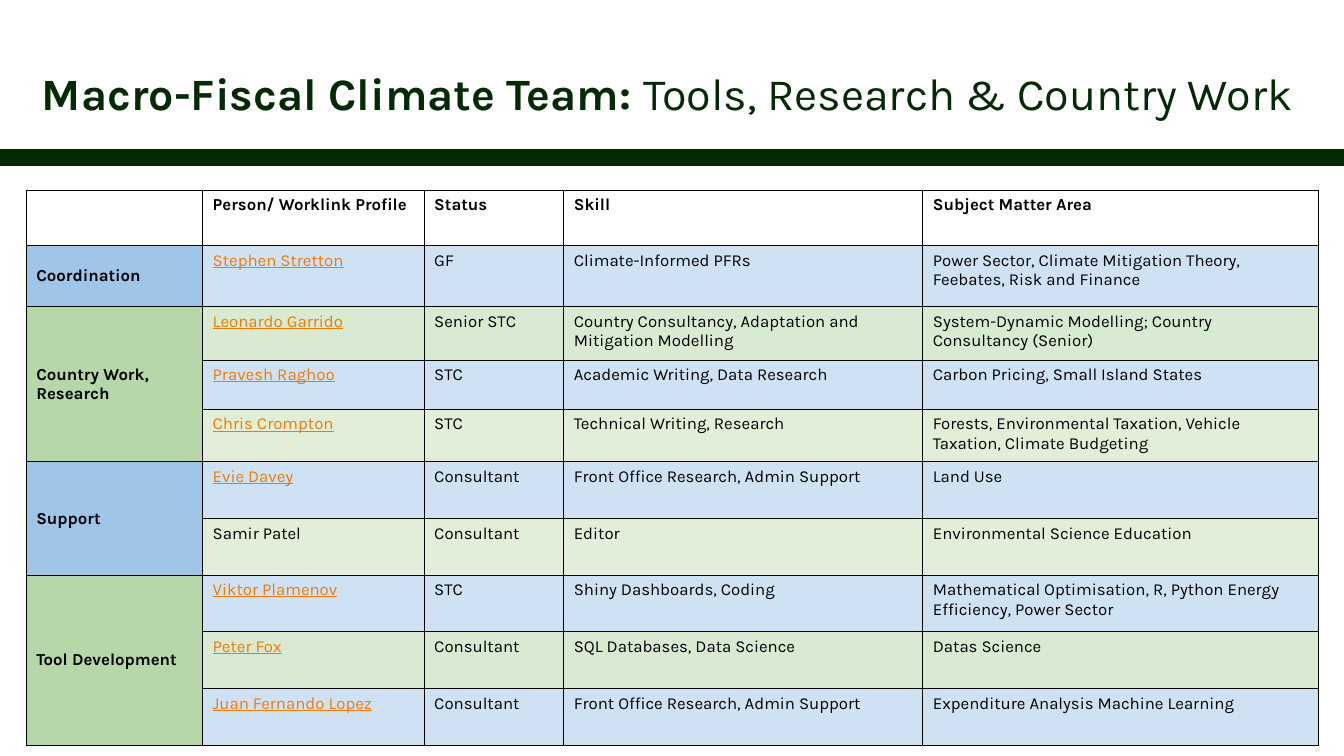
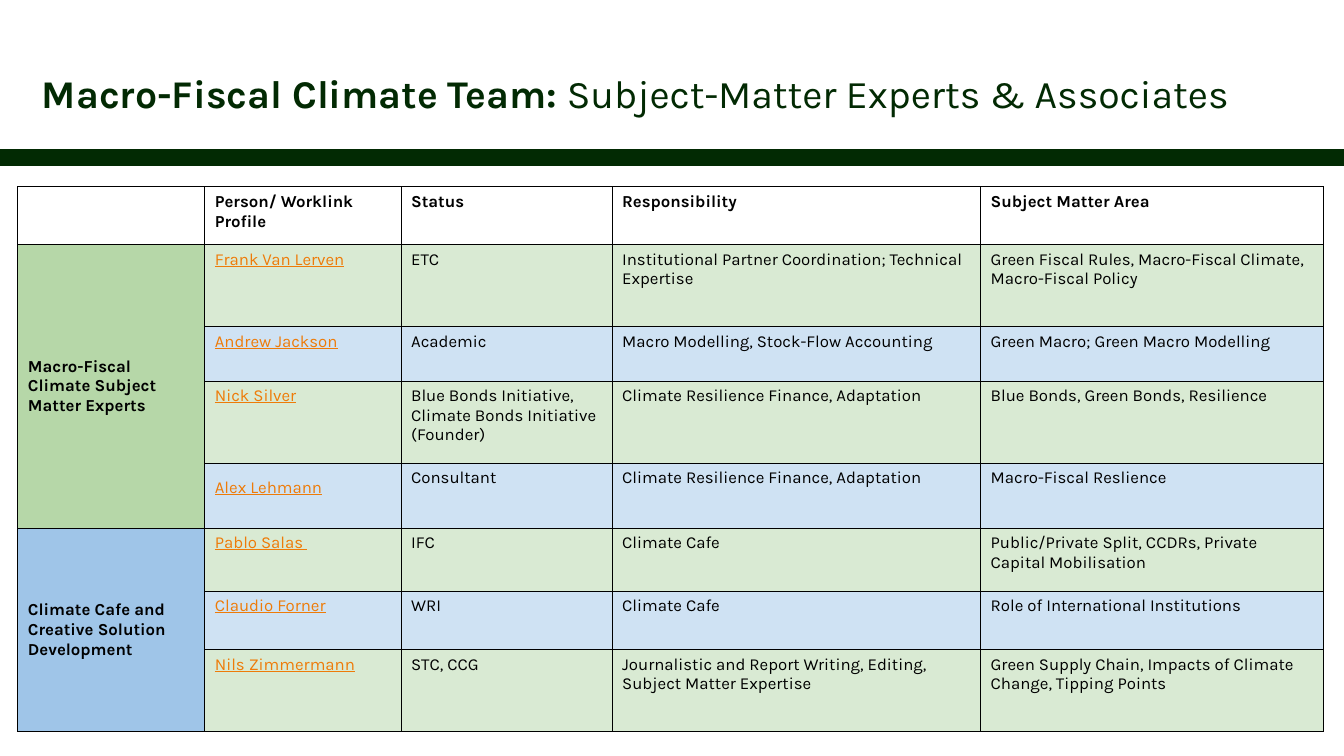
import dataclasses

import lxml.etree
import pptx
import pptx.dml.color
import pptx.enum.shapes
import pptx.enum.text
import pptx.oxml.ns
import pptx.util

EMU_PER_PX = 9525
SLIDE_WIDTH, SLIDE_HEIGHT = 1280, 720
TITLE_BOX = (40, 47, 1200, 83)
BAND_BOX = (0, 142, SLIDE_WIDTH, 16)
TITLE_ONLY_LAYOUT = 5


@dataclasses.dataclass(frozen=True)
class Theme:
    """Fonts, sizes and colours shared by the slides."""

    font: str = "Karla"
    body_size: int = 12
    title_size: int = 32
    long_title_size: int = 28
    border_width: float = 0.75
    title: str = "022A03"
    text: str = "000000"
    link: str = "EE7B08"
    blue: str = "9FC5E8"
    green: str = "B6D7A8"
    light_blue: str = "CFE2F3"
    light_green: str = "D9EAD3"
    pale_green: str = "E1EFD8"


THEME = Theme()


@dataclasses.dataclass(frozen=True)
class Member:
    """One person's row in a team table."""

    name: str
    status: str
    skill: str
    subject: str
    fill: str
    linked: bool = True
    name_spacing: float = 1.0


@dataclasses.dataclass(frozen=True)
class Group:
    """A labelled block of members."""

    label: str
    fill: str
    members: tuple


@dataclasses.dataclass(frozen=True)
class TeamTable:
    """Placement and content of a team table."""

    left: int
    top: int
    columns: tuple
    rows: tuple
    headings: tuple
    groups: tuple


TOOLS_TEAM = TeamTable(
    left=25,
    top=181,
    columns=(168, 211, 133, 342, 377),
    rows=(53, 58, 51, 47, 50) + (54,) * 5,
    headings=("Person/ Worklink Profile", "Status", "Skill", "Subject Matter Area"),
    groups=(
        Group("Coordination", THEME.blue, (
            Member("Stephen Stretton", "GF", "Climate-Informed PFRs",
                   "Power Sector, Climate Mitigation Theory, Feebates, Risk and Finance",
                   THEME.light_blue),
        )),
        Group("Country Work, Research", THEME.green, (
            Member("Leonardo Garrido", "Senior STC",
                   "Country Consultancy, Adaptation and Mitigation Modelling",
                   "System-Dynamic Modelling; Country Consultancy (Senior)",
                   THEME.light_green),
            Member("Pravesh Raghoo", "STC", "Academic Writing, Data Research",
                   "Carbon Pricing, Small Island States", THEME.light_blue),
            Member("Chris Crompton", "STC", "Technical Writing, Research",
                   "Forests, Environmental Taxation, Vehicle Taxation, Climate Budgeting",
                   THEME.pale_green),
        )),
        Group("Support", THEME.blue, (
            Member("Evie Davey", "Consultant", "Front Office Research, Admin Support",
                   "Land Use", THEME.light_blue),
            Member("Samir Patel", "Consultant", "Editor",
                   "Environmental Science Education", THEME.pale_green, linked=False),
        )),
        Group("Tool Development", THEME.green, (
            Member("Viktor Plamenov", "STC", "Shiny Dashboards, Coding",
                   "Mathematical Optimisation, R, Python Energy Efficiency, Power Sector",
                   THEME.light_blue),
            Member("Peter Fox", "Consultant", "SQL Databases, Data Science",
                   "Datas Science", THEME.light_green),
            Member("Juan Fernando Lopez", "Consultant",
                   "Front Office Research, Admin Support",
                   "Expenditure Analysis Machine Learning", THEME.light_blue),
        )),
    ),
)

EXPERTS_TEAM = TeamTable(
    left=17,
    top=178,
    columns=(178, 187, 201, 351, 327),
    rows=(55, 78, 52, 78, 62, 60, 56, 78),
    headings=("Person/ Worklink Profile", "Status", "Responsibility", "Subject Matter Area"),
    groups=(
        Group("Macro-Fiscal Climate Subject Matter Experts", THEME.green, (
            Member("Frank Van Lerven", "ETC",
                   "Institutional Partner Coordination; Technical Expertise",
                   "Green Fiscal Rules, Macro-Fiscal Climate, Macro-Fiscal Policy",
                   THEME.light_green),
            Member("Andrew Jackson", "Academic", "Macro Modelling, Stock-Flow Accounting",
                   "Green Macro; Green Macro Modelling", THEME.light_blue),
            Member("Nick Silver", "Blue Bonds Initiative, Climate Bonds Initiative (Founder)",
                   "Climate Resilience Finance, Adaptation",
                   "Blue Bonds, Green Bonds, Resilience", THEME.light_green),
            Member("Alex Lehmann", "Consultant", "Climate Resilience Finance, Adaptation",
                   "Macro-Fiscal Reslience", THEME.light_blue, name_spacing=1.5),
        )),
        Group("Climate Cafe and Creative Solution Development", THEME.blue, (
            Member("Pablo Salas ", "IFC", "Climate Cafe",
                   "Public/Private Split, CCDRs, Private Capital Mobilisation",
                   THEME.light_green),
            Member("Claudio Forner", "WRI", "Climate Cafe",
                   "Role of International Institutions", THEME.light_blue),
            Member("Nils Zimmermann", "STC, CCG",
                   "Journalistic and Report Writing, Editing, Subject Matter Expertise",
                   "Green Supply Chain, Impacts of Climate Change, Tipping Points",
                   THEME.light_green),
        )),
    ),
)


def px(length):
    """Turn px into EMU."""
    return pptx.util.Emu(length * EMU_PER_PX)


def rgb(color):
    """Turn a hex string into a colour."""
    return pptx.dml.color.RGBColor.from_string(color)


def add_text(paragraph, text, size=THEME.body_size, color=THEME.text, bold=False,
             underline=False):
    """Add a formatted run to a paragraph."""
    run = paragraph.add_run()
    run.text = text
    run.font.name = THEME.font
    run.font.size = pptx.util.Pt(size)
    run.font.color.rgb = rgb(color)
    run.font.bold = bold
    run.font.underline = underline


def add_title(slide, box, topic, size):
    """Place the title: bold team name, then the topic."""
    title = slide.shapes.title
    title.left, title.top, title.width, title.height = map(px, box)
    frame = title.text_frame
    frame.margin_left = frame.margin_right = frame.margin_top = frame.margin_bottom = 0
    frame.word_wrap = True
    frame.auto_size = pptx.enum.text.MSO_AUTO_SIZE.NONE
    frame.vertical_anchor = pptx.enum.text.MSO_ANCHOR.MIDDLE
    paragraph = frame.paragraphs[0]
    paragraph.alignment = pptx.enum.text.PP_ALIGN.LEFT
    add_text(paragraph, "Macro-Fiscal Climate Team: ", size=size, color=THEME.title, bold=True)
    add_text(paragraph, topic, size=size, color=THEME.title)


def add_band(slide, box):
    """Draw the band below the title."""
    band = slide.shapes.add_shape(pptx.enum.shapes.MSO_SHAPE.RECTANGLE, *map(px, box))
    band.shadow.inherit = False
    band.fill.solid()
    band.fill.fore_color.rgb = rgb(THEME.title)
    band.line.fill.background()


def add_borders(cell):
    """Outline all four sides of a cell."""
    properties = cell._tc.get_or_add_tcPr()
    for side in ("a:lnL", "a:lnR", "a:lnT", "a:lnB"):
        line = lxml.etree.SubElement(properties, pptx.oxml.ns.qn(side),
                                     w=str(pptx.util.Pt(THEME.border_width)))
        fill = lxml.etree.SubElement(line, pptx.oxml.ns.qn("a:solidFill"))
        lxml.etree.SubElement(fill, pptx.oxml.ns.qn("a:srgbClr"), val=THEME.text)


def fill_cell(cell, text, fill, spacing=1.0, **text_format):
    """Set a cell's fill and text."""
    cell.fill.solid()
    cell.fill.fore_color.rgb = rgb(fill)
    paragraph = cell.text_frame.paragraphs[0]
    paragraph.line_spacing = spacing
    add_text(paragraph, text, **text_format)


def add_member(table, row, member):
    """Fill one member's row, right of the group label."""
    name_format = {"color": THEME.link, "underline": True} if member.linked else {}
    fill_cell(table.cell(row, 1), member.name, member.fill,
              spacing=member.name_spacing, **name_format)
    for column, text in enumerate((member.status, member.skill, member.subject), start=2):
        fill_cell(table.cell(row, column), text, member.fill)


def add_team_table(slide, team):
    """Place a team table with its headings and groups."""
    table = slide.shapes.add_table(
        len(team.rows), len(team.columns), px(team.left), px(team.top),
        px(sum(team.columns)), px(sum(team.rows))).table
    table.first_row = table.horz_banding = False
    for column, width in zip(table.columns, team.columns):
        column.width = px(width)
    for row, height in zip(table.rows, team.rows):
        row.height = px(height)
    for cell in table.iter_cells():
        add_borders(cell)
        cell.fill.background()
    for column, heading in enumerate(team.headings, start=1):
        add_text(table.cell(0, column).text_frame.paragraphs[0], heading, bold=True)
    first = 1
    for group in team.groups:
        last = first + len(group.members) - 1
        label = table.cell(first, 0)
        if last > first:
            label.merge(table.cell(last, 0))
        label.vertical_anchor = pptx.enum.text.MSO_ANCHOR.MIDDLE
        fill_cell(label, group.label, group.fill, bold=True)
        for row, member in enumerate(group.members, start=first):
            add_member(table, row, member)
        first = last + 1


def add_team_slide(presentation, topic, title_size, team):
    """Add a slide with a title, a band and a team table."""
    slide = presentation.slides.add_slide(presentation.slide_layouts[TITLE_ONLY_LAYOUT])
    add_band(slide, BAND_BOX)
    add_title(slide, TITLE_BOX, topic, title_size)
    add_team_table(slide, team)


def main():
    """Build and save the presentation."""
    presentation = pptx.Presentation()
    presentation.slide_width = px(SLIDE_WIDTH)
    presentation.slide_height = px(SLIDE_HEIGHT)
    add_team_slide(presentation, "Tools, Research & Country Work",
                   THEME.title_size, TOOLS_TEAM)
    add_team_slide(presentation, "Subject-Matter Experts & Associates",
                   THEME.long_title_size, EXPERTS_TEAM)
    presentation.save("out.pptx")


if __name__ == "__main__":
    main()
